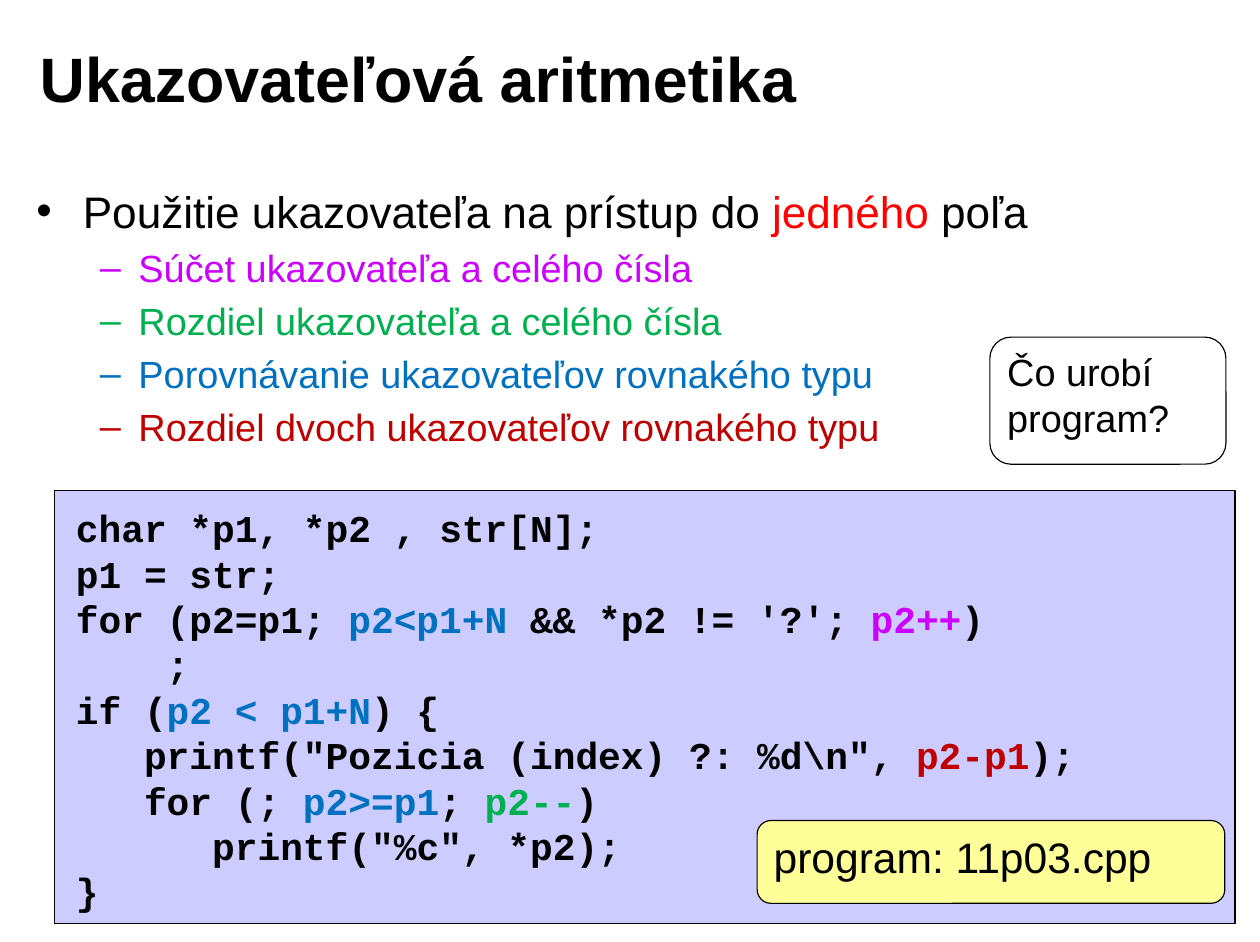
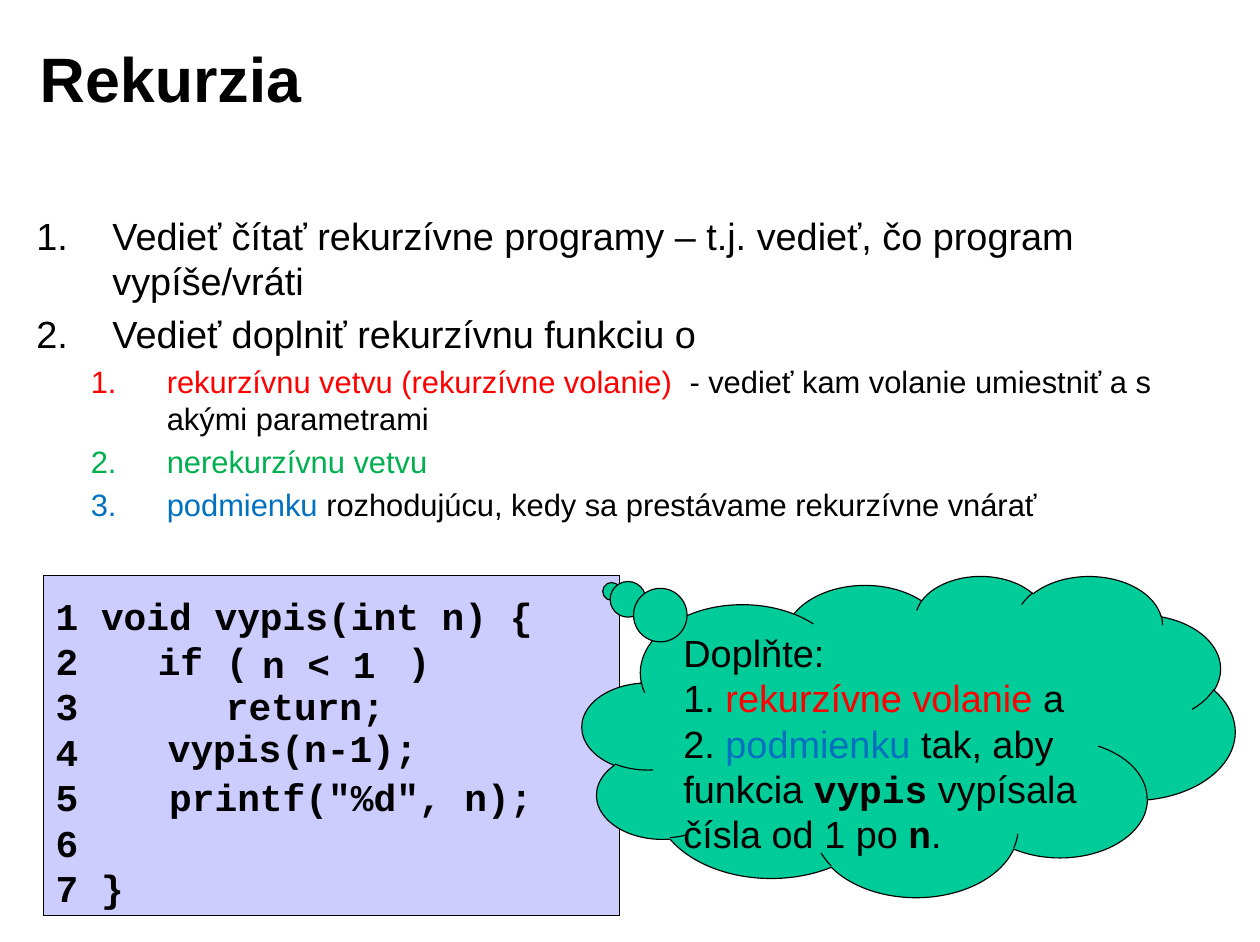
from dataclasses import dataclass
from typing import Any, Optional

from lxml.etree import SubElement
from pptx import Presentation
from pptx.dml.color import RGBColor
from pptx.enum.shapes import MSO_SHAPE
from pptx.enum.text import MSO_ANCHOR, MSO_AUTO_SIZE, PP_ALIGN
from pptx.oxml.ns import qn
from pptx.util import Emu, Pt

PX = 9144  # 100 px to the inch


@dataclass(frozen=True)
class Theme:
    sans: str = "Arial"
    mono: str = "Courier New"
    black: str = "000000"
    white: str = "FFFFFF"
    red: str = "FF0000"
    violet: str = "CC00FF"
    green: str = "00B050"
    blue: str = "0070C0"
    crimson: str = "C00000"
    panel: str = "CCCCFF"
    note: str = "FFFF99"
    cloud: str = "00CC99"
    title: float = 39.8
    large: float = 28
    file: float = 27
    text: float = 24
    small: float = 19.6
    line: float = 0.75


T = Theme()


@dataclass(frozen=True)
class Box:
    x: int
    y: int
    w: int
    h: int

    def emu(self) -> list[Emu]:
        return [Emu(v * PX) for v in (self.x, self.y, self.w, self.h)]


@dataclass(frozen=True)
class Run:
    text: str
    color: str = T.black
    mono: bool = False


@dataclass(frozen=True)
class Bullet:
    """A bullet sign, or automatic numbering when scheme is set."""
    left: int
    hang: int
    sign: str = ""
    scheme: str = ""
    start: int = 1


@dataclass(frozen=True)
class Para:
    runs: tuple[Run, ...]
    size: float = T.text
    level: int = 0
    bullet: Optional[Bullet] = None


@dataclass(frozen=True)
class Panel:
    kind: MSO_SHAPE
    box: Box
    fill: str
    paras: tuple[Para, ...] = ()
    pad: tuple[int, int] = (10, 5)
    adj: tuple[float, ...] = ()


def para(*parts: Any, **options: Any) -> Para:
    """Make a paragraph from strings and runs."""
    return Para(tuple(Run(p) if isinstance(p, str) else p for p in parts), **options)


def code(*parts: Any, bullet: Optional[Bullet] = None) -> Para:
    runs = para(*parts).runs
    return Para(tuple(Run(r.text, r.color, True) for r in runs), bullet=bullet)


def set_all(target: Any, values: dict[str, Any]) -> None:
    for name, value in values.items():
        setattr(target, name, value)


def set_bullet(p: Any, b: Bullet) -> None:
    pr = p._p.get_or_add_pPr()
    pr.set("marL", str(b.left * PX))
    pr.set("indent", str(-b.hang * PX))
    if b.scheme:
        auto = SubElement(pr, qn("a:buAutoNum"), type=b.scheme)
        if b.start > 1:
            auto.set("startAt", str(b.start))
    else:
        SubElement(pr, qn("a:buFont"), typeface=T.sans)
        SubElement(pr, qn("a:buChar"), char=b.sign)


def write(tf: Any, paras: tuple[Para, ...], pad: tuple[int, int] = (10, 5),
          wrap: bool = True, anchor: MSO_ANCHOR = MSO_ANCHOR.TOP,
          bold: bool = False, gap: float = 0) -> None:
    """Fill a text frame; gap is the space before as a share of the type size."""
    across, down = (Emu(v * PX) for v in pad)
    set_all(tf, {"word_wrap": wrap, "auto_size": MSO_AUTO_SIZE.NONE,
                 "vertical_anchor": anchor, "margin_left": across,
                 "margin_right": across, "margin_top": down, "margin_bottom": down})
    for i, item in enumerate(paras):
        p = tf.add_paragraph() if i else tf.paragraphs[0]
        set_all(p, {"level": item.level, "alignment": PP_ALIGN.LEFT,
                    "space_before": Pt(item.size * gap if i else 0)})
        if item.bullet:
            set_bullet(p, item.bullet)
        for part in item.runs:
            r = p.add_run()
            r.text = part.text
            set_all(r.font, {"name": T.mono if part.mono else T.sans,
                             "size": Pt(item.size), "bold": bold or part.mono})
            r.font.color.rgb = RGBColor.from_string(part.color)


def place(sp: Any, box: Box) -> None:
    set_all(sp, dict(zip(("left", "top", "width", "height"), box.emu())))


def add_slide(prs: Any, title: str, body: Box, items: tuple[Para, ...]) -> Any:
    s = prs.slides.add_slide(prs.slide_layouts[1])
    place(s.shapes.title, Box(25, 17, 892, 102))
    write(s.shapes.title.text_frame, (para(title, size=T.title),),
          anchor=MSO_ANCHOR.MIDDLE, bold=True)
    place(s.placeholders[1], body)
    write(s.placeholders[1].text_frame, items, gap=0.2)
    return s


def add_panel(s: Any, panel: Panel) -> None:
    sp = s.shapes.add_shape(panel.kind, *panel.box.emu())
    sp.shadow.inherit = False
    sp.fill.solid()
    sp.fill.fore_color.rgb = RGBColor.from_string(panel.fill)
    sp.line.color.rgb = RGBColor.from_string(T.black)
    sp.line.width = Pt(T.line)
    for i, value in enumerate(panel.adj):
        sp.adjustments[i] = value
    if panel.paras:
        write(sp.text_frame, panel.paras, panel.pad)


def add_text(s: Any, box: Box, *paras: Para, pad: tuple[int, int] = (10, 5),
             wrap: bool = True) -> None:
    write(s.shapes.add_textbox(*box.emu()).text_frame, paras, pad, wrap)


def pointer_slide(prs: Any) -> None:
    dot, dash = Bullet(41, 41, "•"), Bullet(90, 34, "–")
    operations = (("Súčet ukazovateľa a celého čísla", T.violet),
                  ("Rozdiel ukazovateľa a celého čísla", T.green),
                  ("Porovnávanie ukazovateľov rovnakého typu", T.blue),
                  ("Rozdiel dvoch ukazovateľov rovnakého typu", T.crimson))
    s = add_slide(prs, "Ukazovateľová aritmetika", Box(22, 157, 1067, 275), (
        para("Použitie ukazovateľa na prístup do ", Run("jedného", T.red), " poľa",
             size=T.large, bullet=dot),
        *(para(Run(*op), level=1, bullet=dash) for op in operations)))
    add_panel(s, Panel(MSO_SHAPE.RECTANGLE, Box(48, 432, 1040, 382), T.panel))
    add_text(
        s, Box(57, 440, 931, 374),
        code("char *p1, *p2 , str[N];"),
        code("p1 = str;"),
        code("for (p2=p1; ", Run("p2<p1+N", T.blue), " && *p2 != '?'; ",
             Run("p2++", T.violet), ")"),
        code("    ;"),
        code("if (", Run("p2 < p1+N", T.blue), ") {"),
        code('   printf("Pozicia (index) ?: %d\\n", ', Run("p2-p1", T.crimson), ");"),
        code("   for (; ", Run("p2>=p1", T.blue), "; ", Run("p2--", T.green), ")"),
        code('      printf("%c", *p2);'),
        code("}"))
    add_panel(s, Panel(MSO_SHAPE.ROUNDED_RECTANGLE, Box(872, 297, 208, 112), T.white,
                       (para("Čo urobí program?"),)))
    add_panel(s, Panel(MSO_SHAPE.ROUNDED_RECTANGLE, Box(667, 723, 412, 73), T.note,
                       (para("program: 11p03.cpp", size=T.file),), (11, 6)))


def recursion_slide(prs: Any) -> None:
    outer = Bullet(67, 67, scheme="arabicPeriod")
    inner = Bullet(115, 67, scheme="arabicPeriod")
    line_no = Bullet(50, 50, scheme="arabicPlain", start=2)
    branches = (
        (Run("rekurzívnu vetvu (rekurzívne volanie)", T.red),
         "  - vedieť kam volanie umiestniť a s akými parametrami"),
        (Run("nerekurzívnu vetvu", T.green),),
        (Run("podmienku", T.blue), " rozhodujúcu, kedy sa prestávame rekurzívne vnárať"))
    s = add_slide(prs, "Rekurzia", Box(22, 182, 1067, 282), (
        para("Vedieť čítať rekurzívne programy – t.j. vedieť, čo program vypíše/vráti",
             bullet=outer),
        para("Vedieť doplniť rekurzívnu funkciu o", bullet=outer),
        *(para(*b, size=T.small, level=1, bullet=inner) for b in branches)))
    add_panel(s, Panel(MSO_SHAPE.RECTANGLE, Box(38, 507, 508, 300), T.panel))
    add_text(
        s, Box(38, 516, 492, 294),
        code("1 void vypis(int n) {"),
        code("  if (       )", bullet=line_no),
        code("     return;", bullet=line_no),
        code("4"),
        code('5    printf("%d", n);'),
        code("6"),
        code("7 }"),
        pad=(11, 6))
    add_panel(s, Panel(
        MSO_SHAPE.CLOUD_CALLOUT, Box(513, 507, 575, 283), T.cloud, (
            para("Doplňte:"),
            para("1. ", Run("rekurzívne volanie ", T.red), "a"),
            para("2. ", Run("podmienku ", T.blue), "tak, aby funkcia ",
                 Run("vypis", mono=True), " vypísala čísla od 1 po ",
                 Run("n", mono=True), ".")),
        adj=(-0.455, -0.45)))
    add_text(s, Box(221, 560, 121, 50), code("n < 1"), wrap=False)
    add_text(s, Box(138, 634, 242, 50), code("vypis(n-1);"), wrap=False)


def main() -> None:
    prs = Presentation()
    set_all(prs, {"slide_width": Emu(1110 * PX), "slide_height": Emu(830 * PX)})
    pointer_slide(prs)
    recursion_slide(prs)
    prs.save("out.pptx")


if __name__ == "__main__":
    main()
